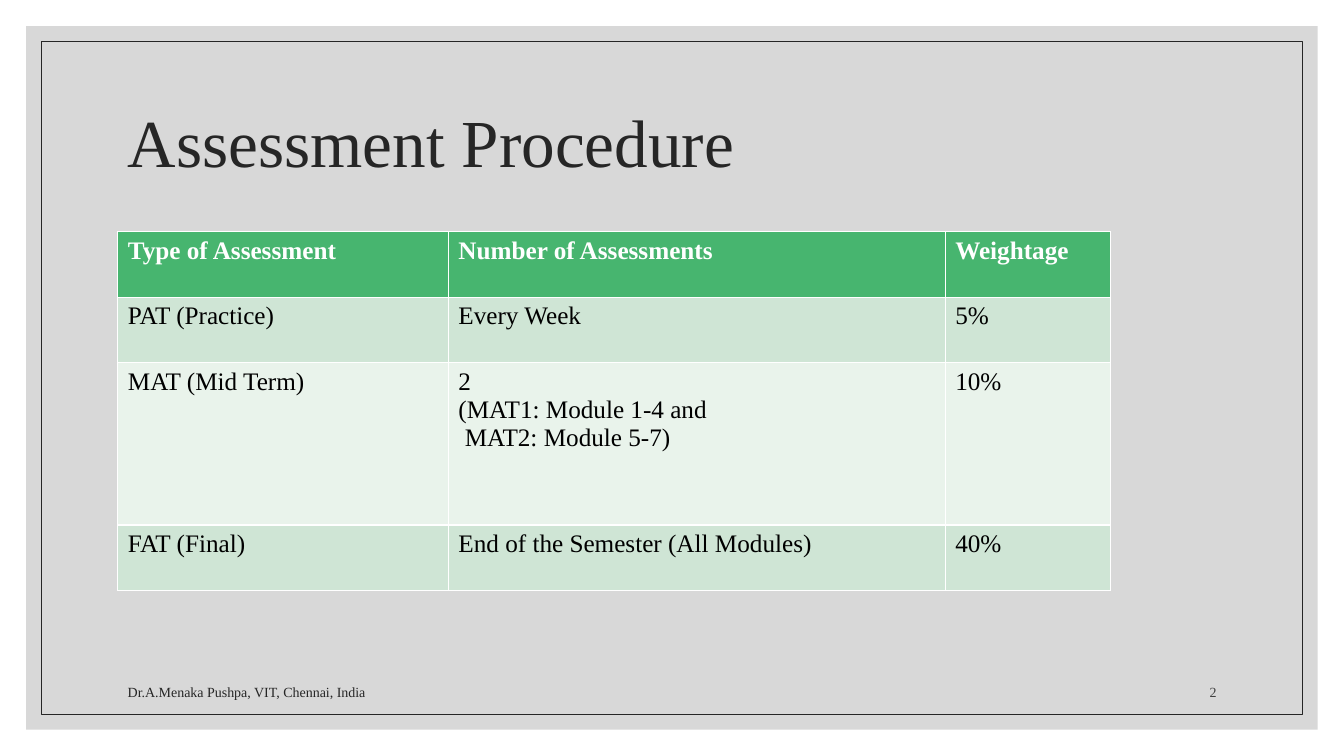
from lxml import etree
from pptx import Presentation
from pptx import util as u
from pptx.dml.color import RGBColor
from pptx.enum import shapes, text
from pptx.oxml.ns import qn

WHITE = RGBColor(0xFF, 0xFF, 0xFF)
BLACK = RGBColor(0, 0, 0)
INK = RGBColor(0x26, 0x26, 0x26)
NUMBER_GREY = RGBColor(0x40, 0x40, 0x40)
PANEL_GREY = RGBColor(0xBF, 0xBF, 0xBF)
HEADER_GREEN = RGBColor(0x47, 0xB5, 0x6F)
BAND_GREENS = RGBColor(0xE9, 0xF3, 0xEB), RGBColor(0xCF, 0xE5, 0xD5)

SLIDE_WIDTH, SLIDE_HEIGHT = u.Cm(33.87), u.Cm(19.05)
ASSESSMENTS = [
    ("Type of Assessment", "Number of Assessments", "Weightage"),
    ("PAT (Practice)", "Every Week", "5%"),
    ("MAT (Mid Term)", "2\n(MAT1: Module 1-4 and\n MAT2: Module 5-7)", "10%"),
    ("FAT (Final)", "End of the Semester (All Modules)", "40%"),
]
COLUMN_WIDTHS = 8.33, 12.52, 4.17
ROW_HEIGHTS = 1.65, 1.65, 4.09, 1.65


def format_text(frame, size, color, bold=False, **paragraph_format):
    """Apply one font and paragraph format to all text in a frame."""
    font_format = {"name": "Times New Roman", "size": u.Pt(size), "bold": bold}
    for paragraph in frame.paragraphs:
        for name, value in paragraph_format.items():
            setattr(paragraph, name, value)
        for run in paragraph.runs:
            for name, value in font_format.items():
                setattr(run.font, name, value)
            run.font.color.rgb = color


def add_inset_rectangle(slide, inset):
    """Add a shadowless rectangle inset equally from all slide edges."""
    shape = slide.shapes.add_shape(
        shapes.MSO_SHAPE.RECTANGLE, inset, inset,
        SLIDE_WIDTH - 2 * inset, SLIDE_HEIGHT - 2 * inset)
    shape.shadow.inherit = False
    return shape


def add_background(slide):
    """Draw the translucent panel and its thin inner border."""
    panel = add_inset_rectangle(slide, u.Cm(0.66))
    panel.fill.solid()
    panel.fill.fore_color.rgb = PANEL_GREY
    panel.line.fill.background()
    color = next(panel.element.iter(qn("a:srgbClr")))
    etree.SubElement(color, qn("a:alpha"), val="60000")
    border = add_inset_rectangle(slide, u.Cm(1.04))
    border.fill.background()
    border.line.color.rgb = INK
    border.line.width = u.Pt(0.5)


def place_title(slide, left, top, width, height):
    """Place the title in its box, in front of the background."""
    title = slide.shapes.title
    title.element.getparent().append(title.element)
    title.left, title.top, title.width, title.height = left, top, width, height
    frame = title.text_frame
    frame.text = "Assessment Procedure"
    frame.auto_size = text.MSO_AUTO_SIZE.NONE
    frame.vertical_anchor = text.MSO_ANCHOR.MIDDLE
    format_text(frame, 48, INK, alignment=text.PP_ALIGN.LEFT, line_spacing=0.9)


def add_assessment_table(slide, left, top):
    """Add the assessment table with a green header and banded rows."""
    table = slide.shapes.add_table(
        len(ROW_HEIGHTS), len(COLUMN_WIDTHS), left, top,
        u.Cm(sum(COLUMN_WIDTHS)), u.Cm(sum(ROW_HEIGHTS))).table
    for column, width in zip(table.columns, COLUMN_WIDTHS):
        column.width = u.Cm(width)
    for index, (row, height, values) in enumerate(
            zip(table.rows, ROW_HEIGHTS, ASSESSMENTS)):
        row.height = u.Cm(height)
        header = index == 0
        for cell, value in zip(row.cells, values):
            cell.text = value
            cell.fill.solid()
            cell.fill.fore_color.rgb = HEADER_GREEN if header else BAND_GREENS[index % 2]
            format_text(cell.text_frame, 18, WHITE if header else BLACK, header)


def add_footer_text(slide, wording, left, top, width, height, color, alignment):
    """Add one bottom-anchored footer text in its box."""
    frame = slide.shapes.add_textbox(left, top, width, height).text_frame
    frame.text = wording
    frame.word_wrap = True
    frame.vertical_anchor = text.MSO_ANCHOR.BOTTOM
    format_text(frame, 10, color, alignment=alignment)


def add_footer(slide, left, top, width, height):
    """Place the author at the left and the page number at the right."""
    number_width = u.Cm(2.34)
    add_footer_text(slide, "Dr.A.Menaka Pushpa, VIT, Chennai, India", left, top,
                    u.Cm(16.15), height, INK, text.PP_ALIGN.LEFT)
    add_footer_text(slide, "2", left + width - number_width, top,
                    number_width, height, NUMBER_GREY, text.PP_ALIGN.RIGHT)


def main():
    """Build and save the assessment slide."""
    presentation = Presentation()
    presentation.slide_width, presentation.slide_height = SLIDE_WIDTH, SLIDE_HEIGHT
    slide = presentation.slides.add_slide(presentation.slide_layouts[5])
    left, width = u.Cm(2.97), u.Cm(27.94)
    add_background(slide)
    place_title(slide, left, u.Cm(1.78), width, u.Cm(3.81))
    add_assessment_table(slide, left, u.Cm(5.84))
    add_footer(slide, left, u.Cm(16.76), width, u.Cm(1.02))
    presentation.save("out.pptx")


if __name__ == "__main__":
    main()
